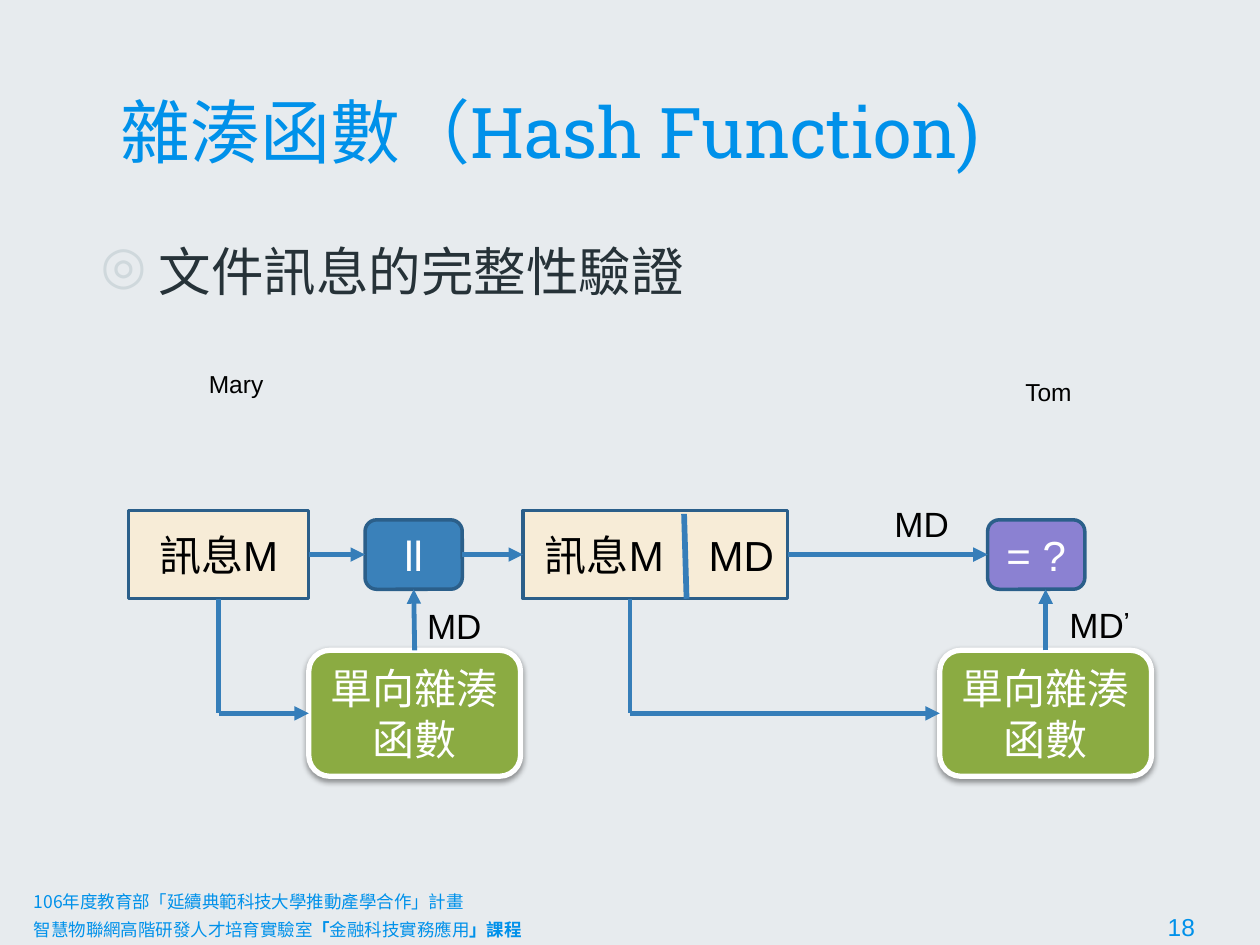
"""Build a slide on checking message integrity with a hash function."""
from lxml import etree
from pptx import Presentation
from pptx.dml.color import RGBColor as RGB
from pptx.enum.shapes import MSO_CONNECTOR as CONN, MSO_SHAPE as SHAPE
from pptx.enum.text import MSO_ANCHOR as ANCHOR, PP_ALIGN as ALIGN
from pptx.oxml import parse_xml
from pptx.oxml.ns import nsdecls, qn
from pptx.util import Cm, Pt

COLORS = {
    "bg": "E7EBEE", "title": "0091EA", "body": "263238", "bullet": "CFD8DC",
    "cream": "F7ECD7", "green": "8BAB42", "blue": "3A81BA", "purple": "8B81D2",
    "edge": "2B5F8A", "arrow": "367EB9", "white": "FFFFFF", "black": "000000",
}
CJK = "Noto Sans CJK SC"
MID_Y, HASH_Y = 11.18, 14.38


def format_runs(p, size, color, font="Arial"):
    for r in p.runs:
        r.font.size = Pt(size)
        r.font.color.rgb = RGB.from_string(COLORS[color])
        r.font.name = font
        ea = etree.SubElement(r._r.get_or_add_rPr(), qn("a:ea"))
        ea.set("typeface", CJK)


def add_line(start, end, head=True, width=2.75):
    line = s.shapes.add_connector(CONN.STRAIGHT, *map(Cm, start + end))
    line.line.color.rgb = RGB.from_string(COLORS["arrow"])
    line.line.width = Pt(width)
    if head:
        etree.SubElement(line.line._get_or_add_ln(), qn("a:tailEnd")).set("type", "triangle")
    etree.SubElement(line._element.spPr, qn("a:effectLst"))
    return line


prs = Presentation()
prs.slide_width, prs.slide_height = Cm(25.4), Cm(19.05)
s = prs.slides.add_slide(prs.slide_layouts[6])
s.background.fill.solid()
s.background.fill.fore_color.rgb = RGB.from_string(COLORS["bg"])

headings = [
    ("雜湊函數（Hash Function)", 2.18, 1.14, 2.59, 40, "title", "Roboto Slab", ANCHOR.BOTTOM),
    ("文件訊息的完整性驗證", 1.68, 4.57, 13.23, 30, "body", "Cabin", ANCHOR.TOP),
]
for text, x, y, h, size, color, font, anchor in headings:
    tf = s.shapes.add_textbox(Cm(x), Cm(y), Cm(21.03), Cm(h)).text_frame
    tf.word_wrap = True
    tf.vertical_anchor = anchor
    tf.margin_left = tf.margin_right = tf.margin_top = tf.margin_bottom = Cm(0.25)
    p = tf.paragraphs[0]
    p.text = text
    format_runs(p, size, color, font)

pPr = p._p.get_or_add_pPr()
pPr.set("marL", str(Cm(1.27)))
pPr.set("indent", str(Cm(-1.17)))
etree.SubElement(etree.SubElement(pPr, qn("a:buClr")), qn("a:srgbClr")).set("val", COLORS["bullet"])
etree.SubElement(pPr, qn("a:buChar")).set("char", "◎")

blocks = [
    ("message", "訊息M", SHAPE.RECTANGLE, 4.41, MID_Y, 3.63, 1.78, "cream", "black"),
    ("concat", "ll", SHAPE.ROUNDED_RECTANGLE, 8.34, MID_Y, 1.96, 1.4, "blue", "white"),
    ("packet", "訊息M\tMD", SHAPE.RECTANGLE, 13.21, MID_Y, 5.33, 1.78, "cream", "black"),
    ("check", "= ?", SHAPE.ROUNDED_RECTANGLE, 20.89, MID_Y, 1.96, 1.4, "purple", "white"),
    ("hash_mary", "單向雜湊函數", SHAPE.ROUNDED_RECTANGLE, 8.36, HASH_Y, 4.27, 2.54, "green", "white"),
    ("hash_tom", "單向雜湊函數", SHAPE.ROUNDED_RECTANGLE, 21.08, HASH_Y, 4.27, 2.54, "green", "white"),
]
box = {}
for name, text, kind, cx, cy, w, h, fill, color in blocks:
    sp = s.shapes.add_shape(kind, Cm(cx - w / 2), Cm(cy - h / 2), Cm(w), Cm(h))
    hashing = fill == "green"
    sp.shadow.inherit = False
    sp.fill.solid()
    sp.fill.fore_color.rgb = RGB.from_string(COLORS[fill])
    sp.line.color.rgb = RGB.from_string(COLORS["white" if hashing else "edge"])
    sp.line.width = Pt(3 if hashing else 2)
    if hashing:
        sp._element.spPr.find(qn("a:effectLst")).append(parse_xml(
            f'<a:outerShdw {nsdecls("a")} blurRad="{Pt(3.1)}" dist="{Pt(1.6)}" dir="5400000" '
            'rotWithShape="0"><a:srgbClr val="000000"><a:alpha val="38000"/></a:srgbClr></a:outerShdw>'))
    tf = sp.text_frame
    tf.word_wrap = True
    tf.vertical_anchor = ANCHOR.MIDDLE
    p = tf.paragraphs[0]
    p.text = text
    p.alignment = ALIGN.CENTER
    format_runs(p, 24, color)
    box[name] = sp

tf = box["packet"].text_frame
tf.margin_left, tf.margin_right = Cm(0.44), 0
tf.paragraphs[0].alignment = ALIGN.LEFT
packet_tab = (tf.paragraphs[0], 3.3)

add_line((13.79, 10.36), (13.84, 12.07), head=False, width=3.25)
for source, target in [("message", "concat"), ("concat", "packet"), ("packet", "check")]:
    line = add_line((0, 0), (1, 1))
    line.begin_connect(box[source], 3)
    line.end_connect(box[target], 1)
for x, target in [(4.41, "hash_mary"), (12.7, "hash_tom")]:
    down = add_line((x, MID_Y + 0.89), (x, HASH_Y), head=False)
    if target == "hash_mary":
        down.begin_connect(box["message"], 2)
    add_line((x, HASH_Y), (x + 1, HASH_Y)).end_connect(box[target], 1)
up = add_line((8.36, 13.11), (8.34, 11.88))
up.begin_connect(box["hash_mary"], 0)
up.end_connect(box["concat"], 2)
add_line((21.08, 13.11), (21.08, 11.88)).begin_connect(box["hash_tom"], 0)

labels = [
    ("MD", 8.36, 12.07, 1.63, 1.12, 20), ("MD", 17.78, 10.01, 1.63, 1.12, 20),
    ("MD", 21.31, 12.04, 1.78, 1.12, 20), ("Mary", 3.96, 7.32, 1.63, 0.86, 14),
    ("Tom", 20.42, 7.47, 1.5, 0.86, 14),
]
for text, x, y, w, h, size in labels:
    tf = s.shapes.add_textbox(Cm(x), Cm(y), Cm(w), Cm(h)).text_frame
    tf.word_wrap = False
    p = tf.paragraphs[0]
    p.text = text
    if x == 21.31:
        prime = p.add_run()
        prime.text = "’"
        prime.font.bold = True
        prime._r.get_or_add_rPr().set("baseline", "30000")
    format_runs(p, size, "black")

tf = s.shapes.add_textbox(Cm(0.43), Cm(17.83), Cm(24.54), Cm(1.02)).text_frame
tf.word_wrap = True
tf.text = "106年度教育部「延續典範科技大學推動產學合作」計畫"
course = tf.add_paragraph()
for text, bold in [("智慧物聯網高階研發人才培育實驗室", False), ("「", True),
                   ("金融科技實務應用", False), ("」課程", True), ("\t18", False)]:
    r = course.add_run()
    r.text = text
    r.font.bold = bold
for p in tf.paragraphs:
    format_runs(p, 10, "title", CJK)
r.font.size, r.font.name = Pt(14), "Arial"

for p, pos in [packet_tab, (course, 22.86)]:
    tab = etree.SubElement(etree.SubElement(p._p.get_or_add_pPr(), qn("a:tabLst")), qn("a:tab"))
    tab.set("pos", str(Cm(pos)))
    tab.set("algn", "l")

prs.save("out.pptx")
